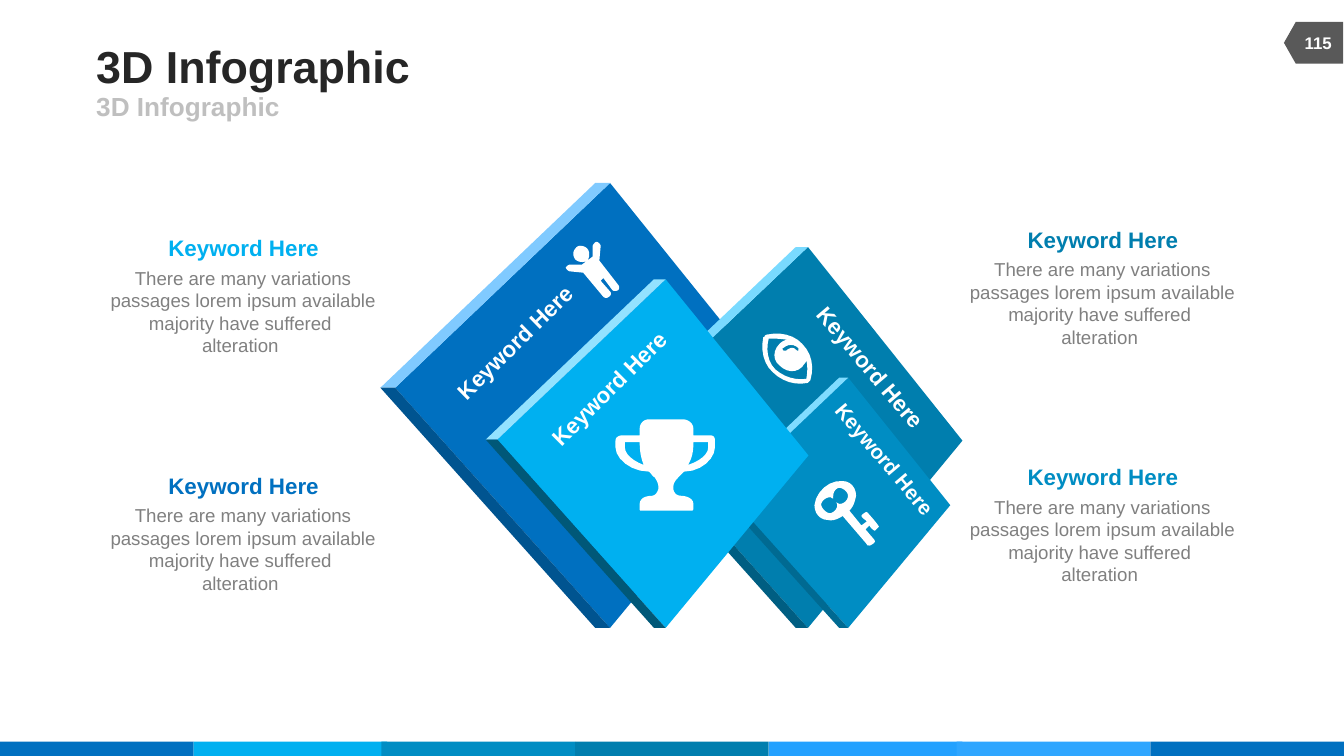
from pptx import Presentation
from pptx import util as u
from pptx.dml.color import RGBColor
from pptx.enum import shapes, text

WHITE = RGBColor(0xFF, 0xFF, 0xFF)
INK = RGBColor(0x26, 0x26, 0x26)
SLATE = RGBColor(0x59, 0x59, 0x59)
GRAY = RGBColor(0x80, 0x80, 0x80)
PALE = RGBColor(0xBF, 0xBF, 0xBF)
BLUE = RGBColor(0x00, 0x70, 0xC0)
SKY = RGBColor(0x00, 0xB0, 0xF0)
TEAL = RGBColor(0x00, 0x7E, 0xAE)
SEA = RGBColor(0x00, 0x8D, 0xC3)
AZURE = RGBColor(0x23, 0xA1, 0xFF)
LIGHT = RGBColor(0x2F, 0xA6, 0xFF)
BLUE_RIM = RGBColor(0x80, 0xCA, 0xFF)
BLUE_SIDE = RGBColor(0x00, 0x54, 0x90)
TEAL_RIM = RGBColor(0x79, 0xDA, 0xFF)
TEAL_SIDE = RGBColor(0x00, 0x5E, 0x82)
SEA_RIM = RGBColor(0x81, 0xDC, 0xFF)
SEA_SIDE = RGBColor(0x00, 0x6A, 0x92)
SKY_RIM = RGBColor(0x93, 0xE2, 0xFF)
SKY_SIDE = RGBColor(0x00, 0x58, 0x78)

LEFT, MID, RIGHT = text.PP_ALIGN.LEFT, text.PP_ALIGN.CENTER, text.PP_ALIGN.RIGHT
KEY = "Keyword Here"
BODY = ("There are many variations passages lorem ipsum available "
        "majority have suffered \valteration ")

BASE = 11.87
GRID = 0.0254
STEPS = 6

STRIP = [(0, BLUE), (3.66, SKY), (7.21, SEA), (10.87, TEAL),
         (14.53, AZURE), (18.08, LIGHT), (21.74, BLUE)]

TILES = [
    ((11.53, 3.46), (14.96, 7.72), (7.47, 7.33), 0.28, BLUE, BLUE_RIM, BLUE_SIDE),
    ((15.27, 4.67), (18.19, 8.33), (11.79, 7.98), 0.23, TEAL, TEAL_RIM, TEAL_SIDE),
    ((16.03, 7.14), (17.96, 9.55), (13.74, 9.32), 0.17, SEA, SEA_RIM, SEA_SIDE),
    ((12.58, 5.28), (15.28, 8.61), (9.4, 8.31), 0.22, SKY, SKY_RIM, SKY_SIDE),
]

LABELS = [((8.28, 6.22, 2.87, 0.51), 12, 315.7), ((10.06, 7.09, 2.87, 0.51), 12, 315.2),
          ((15.01, 6.68, 2.87, 0.51), 12, 49.8), ((15.39, 8.43, 2.64, 0.48), 11, 49.8)]

NOTES = [(18.24, 4.27, TEAL), (18.24, 8.76, SEA), (2, 4.43, SKY), (2, 8.92, BLUE)]

CUP = [
    [(532, 333), (532, 341, 522, 351, 509, 351), (507, 353, 505, 355, 505, 355),
     (502, 358, 501, 360, 501, 363), (501, 365, 502, 369, 507, 369),
     (511, 369, 516, 371, 516, 375), (516, 378), (516, 380, 515, 380, 515, 380),
     (477, 380), (476, 380, 476, 380, 476, 378), (476, 375),
     (476, 371, 480, 369, 485, 369), (488, 369, 490, 365, 490, 363),
     (490, 360, 489, 358, 487, 355), (486, 355, 485, 353, 483, 351),
     (469, 351, 458, 341, 458, 333), (458, 328), (458, 325, 461, 324, 463, 324),
     (476, 324), (476, 319), (476, 315, 479, 312, 483, 312), (508, 312),
     (512, 312, 516, 315, 516, 319), (516, 324), (528, 324),
     (531, 324, 532, 325, 532, 328)],
    [(476, 329), (465, 329), (465, 333), (465, 338, 471, 343, 479, 346),
     (477, 341, 476, 336, 476, 329)],
    [(527, 329), (516, 329), (516, 336, 515, 341, 512, 346),
     (521, 343, 527, 338, 527, 333)],
]
LOCK = [
    [(651, 395), (650, 395, 647, 392, 647, 391), (644, 394), (650, 401),
     (650, 401, 651, 402, 651, 403), (651, 404, 648, 406, 647, 406),
     (646, 406, 645, 406, 645, 405), (627, 384), (624, 386, 620, 388, 616, 387),
     (610, 387, 606, 382, 606, 376), (607, 366, 617, 357, 627, 358),
     (633, 358, 637, 363, 637, 369), (636, 374, 635, 377, 632, 380), (641, 391),
     (645, 388), (644, 387, 641, 385, 641, 384), (641, 383, 644, 381, 645, 381),
     (645, 381, 645, 381, 646, 382), (646, 382, 654, 391, 654, 392),
     (654, 392, 651, 395, 651, 395)],
    [(625, 363), (622, 363, 620, 366, 620, 369), (620, 369, 620, 370, 620, 371),
     (619, 371, 618, 370, 618, 370), (615, 370, 612, 372, 611, 375),
     (611, 378, 614, 381, 617, 382), (620, 382, 623, 379, 623, 376),
     (623, 375, 623, 375, 622, 374), (623, 374, 624, 375, 625, 375),
     (628, 375, 631, 372, 631, 369), (631, 367, 629, 364, 625, 363)],
]
EYE = [
    [(601, 285), (592, 287, 582, 284, 575, 277), (568, 271, 566, 260, 568, 251),
     (569, 251, 569, 250, 569, 250), (570, 249, 571, 249, 571, 249),
     (580, 247, 591, 249, 597, 256), (604, 263, 606, 273, 603, 283),
     (603, 283, 603, 283, 602, 284), (602, 284, 601, 285, 601, 285)],
    [(600, 268), (600, 270, 598, 271, 597, 273), (592, 278, 585, 277, 580, 272),
     (575, 268, 575, 261, 580, 256), (582, 254, 584, 253, 586, 253),
     (581, 252, 576, 252, 572, 252), (570, 260, 571, 269, 577, 275),
     (584, 281, 592, 283, 600, 282), (601, 277, 601, 272, 600, 268)],
    [(594, 259), (591, 256, 586, 256, 583, 259), (582, 259, 582, 260, 583, 261),
     (583, 261, 584, 261, 585, 261), (587, 259, 590, 258, 592, 260),
     (593, 261, 593, 261, 594, 261), (594, 260, 594, 259, 594, 259)],
]
CHILD = [
    [(446, 194), (460, 212), (461, 213, 461, 215, 460, 216),
     (458, 217, 456, 217, 455, 215), (449, 207), (447, 209), (454, 217),
     (455, 218, 455, 220, 453, 221), (452, 222, 450, 222, 449, 221), (434, 203),
     (424, 202), (423, 202, 421, 200, 421, 199), (422, 198, 423, 197, 424, 197),
     (433, 197), (441, 191), (441, 183), (442, 181, 443, 180, 444, 180),
     (445, 180, 447, 182, 447, 183)],
    [(437, 194), (434, 196, 430, 195, 428, 193), (426, 190, 426, 187, 429, 184),
     (431, 182, 435, 183, 437, 185), (439, 187, 439, 192, 437, 194)],
]


def paint(shape, color):
    shape.shadow.inherit = False
    shape.fill.solid()
    shape.fill.fore_color.rgb = color
    shape.line.fill.background()


def block(slide, kind, box, color, turn=0):
    shape = slide.shapes.add_shape(kind, *map(u.Cm, box))
    shape.rotation = turn
    paint(shape, color)


def write(slide, box, words, size, color, bold=True, align=MID, turn=0,
          wrap=True, anchor=text.MSO_ANCHOR.TOP):
    shape = slide.shapes.add_textbox(*map(u.Cm, box))
    shape.rotation = turn
    frame = shape.text_frame
    frame.margin_left = frame.margin_right = 0
    frame.margin_top = frame.margin_bottom = 0
    frame.word_wrap = wrap
    frame.vertical_anchor = anchor
    para = frame.paragraphs[0]
    para.text = words
    para.alignment = align
    font = para.font
    font.name, font.size, font.bold = "Arial", u.Pt(size), bold
    font.color.rgb = color


def curve(start, bend):
    ax, ay, bx, by, ex, ey = bend
    for step in range(1, STEPS + 1):
        t = step / STEPS
        s = 1 - t
        yield tuple(s**3 * p + 3 * s * s * t * a + 3 * s * t * t * b + t**3 * e
                    for p, a, b, e in zip(start, (ax, ay), (bx, by), (ex, ey)))


def trace(loop):
    points = [loop[0]]
    for part in loop[1:]:
        points.extend([part] if len(part) == 2 else curve(points[-1], part))
    return points


def outline(slide, loops, color, unit=1):
    paths = [[(u.Cm(x * unit), u.Cm(y * unit)) for x, y in trace(loop)] for loop in loops]
    pen = slide.shapes.build_freeform(*paths[0][0])
    for index, points in enumerate(paths):
        if index:
            pen.move_to(*points[0])
        pen.add_line_segments(points[1:], close=True)
    paint(pen.convert_to_shape(), color)


def tile(slide, top, right, left, depth, face, rim, side):
    foot = (top[0], BASE)
    outline(slide, [[top, right, foot, left]], face)
    for end, color in ((top, rim), (foot, side)):
        back = [(x - depth, y) for x, y in (end, left)]
        outline(slide, [[left, end, *back]], color)


def note(slide, left, top, color):
    write(slide, (left, top + 0.61, 5.18, 1.7), BODY, 10, GRAY, bold=False)
    write(slide, (left + 1.17, top, 2.87, 0.51), KEY, 12, color, wrap=False)


def main():
    deck = Presentation()
    deck.slide_width, deck.slide_height = u.Cm(25.4), u.Cm(14.29)
    slide = deck.slides.add_slide(deck.slide_layouts[6])
    kinds, middle = shapes.MSO_SHAPE, text.MSO_ANCHOR.MIDDLE
    for left, color in STRIP:
        block(slide, kinds.RECTANGLE, (left, 14.02, 3.66, 0.27), color)
    block(slide, kinds.FLOWCHART_OFFPAGE_CONNECTOR, (24.43, 0.25, 0.79, 1.12), SLATE, 90)
    write(slide, (1.82, 0.74, 15.67, 1), "3D Infographic", 24, INK, align=LEFT, anchor=middle)
    write(slide, (1.82, 1.73, 11.43, 0.56), "3D Infographic", 14, PALE, align=LEFT, anchor=middle)
    write(slide, (24.38, 0.43, 1.07, 0.76), "115", 9, WHITE, anchor=middle)
    for parts in TILES:
        tile(slide, *parts)
    for box, size, turn in LABELS:
        write(slide, box, KEY, size, WHITE, align=RIGHT, turn=turn, wrap=False)
    for icon in (CUP, LOCK, EYE, CHILD):
        outline(slide, icon, WHITE, GRID)
    for parts in NOTES:
        note(slide, *parts)
    deck.save("out.pptx")


if __name__ == "__main__":
    main()
